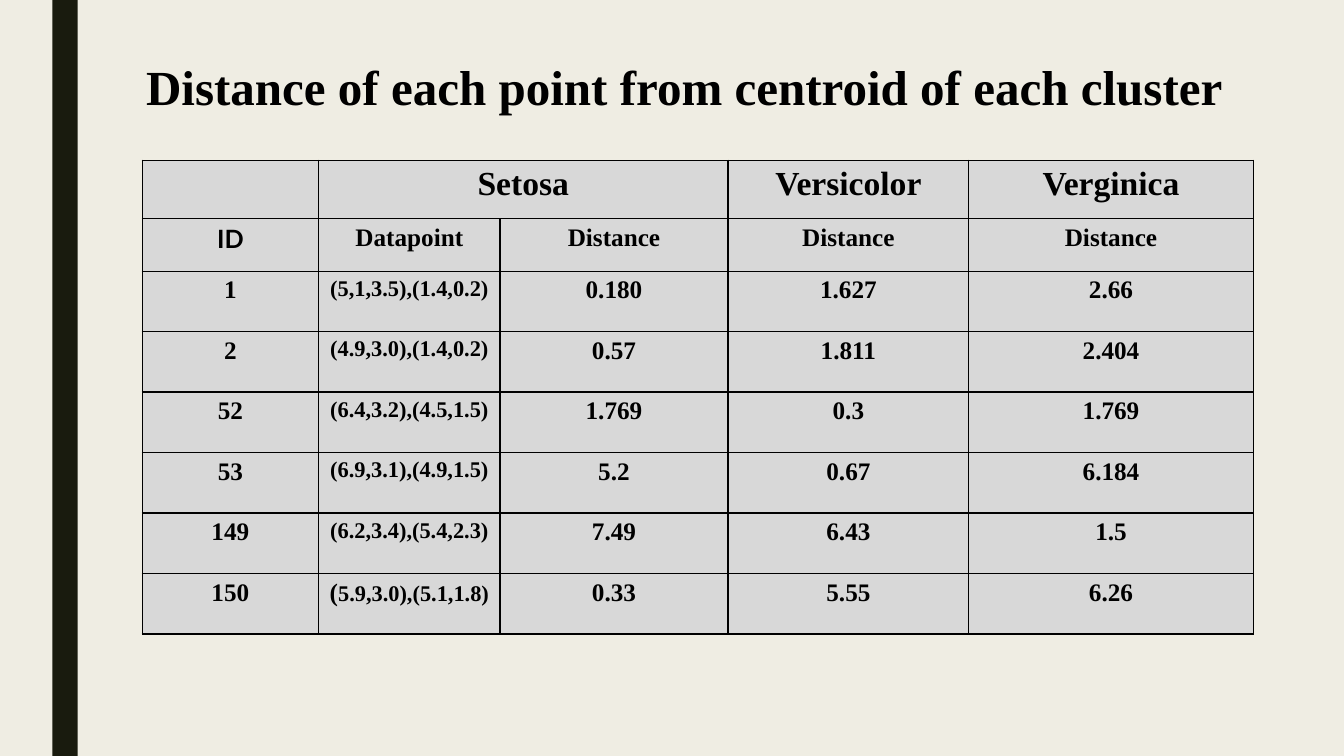
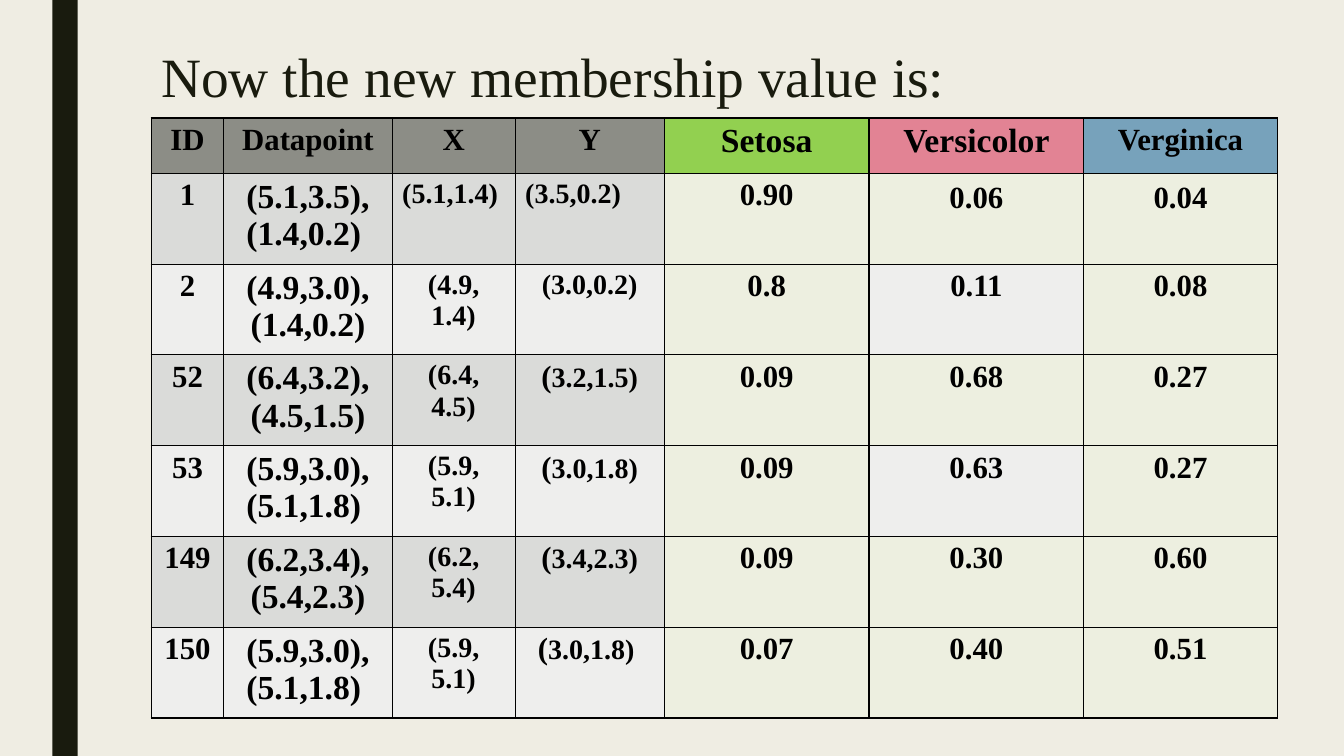
from lxml import etree
from pptx import Presentation, util as u
from pptx.dml.color import RGBColor
from pptx.enum import shapes, text
from pptx.oxml.ns import qn

SERIF, SANS = "Times New Roman", "Lato"
CREAM = RGBColor(0xEF, 0xED, 0xE3)
DARK = RGBColor(0x19, 0x1B, 0x0E)
BLACK = RGBColor(0, 0, 0)
SILVER = RGBColor(0xD8, 0xD8, 0xD8)
HEAD = RGBColor(0x8C, 0x8D, 0x86)
GREEN = RGBColor(0x92, 0xD0, 0x50)
PINK = RGBColor(0xE2, 0x83, 0x94)
BLUE = RGBColor(0x77, 0xA2, 0xBB)
BANDS = RGBColor(0xDA, 0xDB, 0xD9), RGBColor(0xEE, 0xEE, 0xED)
IVORY = RGBColor(0xED, 0xEF, 0xE0)
LEFT, CENTER = text.PP_ALIGN.LEFT, text.PP_ALIGN.CENTER

prs = Presentation()
prs.slide_width, prs.slide_height = u.Inches(13.33), u.Inches(7.5)
prs.slide_master.background.fill.solid()
prs.slide_master.background.fill.fore_color.rgb = CREAM


def add_slide(title, box, size, color, bold, origin, cols, rows):
    """Add the side band, the title and an empty table; return the table."""
    s = prs.slides.add_slide(prs.slide_layouts[6])
    band = s.shapes.add_shape(shapes.MSO_SHAPE.RECTANGLE, u.Inches(0.52), 0,
                              u.Inches(0.25), prs.slide_height)
    band.shadow.inherit = False
    band.fill.solid()
    band.fill.fore_color.rgb = DARK
    band.line.fill.background()

    tf = s.shapes.add_textbox(*map(u.Inches, box)).text_frame
    tf.word_wrap = True
    tf.vertical_anchor = text.MSO_ANCHOR.MIDDLE
    r = tf.paragraphs[0].add_run()
    r.text = title
    r.font.name, r.font.size, r.font.bold = SERIF, u.Pt(size), bold
    r.font.color.rgb = color

    area = *origin, sum(cols), sum(rows)
    tbl = s.shapes.add_table(len(rows), len(cols), *map(u.Inches, area)).table
    tbl.first_row = tbl.horz_banding = False
    for col, width in zip(tbl.columns, cols):
        col.width = u.Inches(width)
    for row, height in zip(tbl.rows, rows):
        row.height = u.Inches(height)
    return tbl


def fill_cell(cell, content, size, fill, align=CENTER, lead=None, font=SERIF):
    """Border, fill and write a cell; lead is the size of its first character."""
    tcPr = cell._tc.get_or_add_tcPr()
    for side in ("lnL", "lnR", "lnT", "lnB"):
        ln = etree.SubElement(tcPr, qn("a:" + side), w=str(u.Pt(1)))
        solid = etree.SubElement(ln, qn("a:solidFill"))
        etree.SubElement(solid, qn("a:srgbClr"), val=str(BLACK))
    cell.fill.solid()
    cell.fill.fore_color.rgb = fill
    tf = cell.text_frame
    for i, line in enumerate(content.split("\n")):
        p = tf.add_paragraph() if i else tf.paragraphs[0]
        p.alignment = align
        runs = [(line[:1], lead), (line[1:], size)] if lead else [(line, size)]
        for chars, pt in runs:
            if chars:
                r = p.add_run()
                r.text = chars
                r.font.name, r.font.size, r.font.bold = font, u.Pt(pt), True
                r.font.color.rgb = BLACK


# Distances
distances = [
    ("", "Setosa", "", "Versicolor", "Verginica"),
    ("ID", "Datapoint", "Distance", "Distance", "Distance"),
    ("1", "(5,1,3.5),(1.4,0.2)", "0.180", "1.627", "2.66"),
    ("2", "(4.9,3.0),(1.4,0.2)", "0.57", "1.811", "2.404"),
    ("52", "(6.4,3.2),(4.5,1.5)", "1.769", "0.3", "1.769"),
    ("53", "(6.9,3.1),(4.9,1.5)", "5.2", "0.67", "6.184"),
    ("149", "(6.2,3.4),(5.4,2.3)", "7.49", "6.43", "1.5"),
    ("150", "(5.9,3.0),(5.1,1.8)", "0.33", "5.55", "6.26"),
]
tbl = add_slide("Distance of each point from centroid of each cluster",
                (1.35, 0.51, 11.98, 0.69), 35, BLACK, True, (1.41, 1.59),
                [1.75, 1.8, 2.26, 2.39, 2.82], [0.58, 0.52] + [0.6] * 6)
tbl.cell(0, 1).merge(tbl.cell(0, 2))
for i, row in enumerate(distances):
    for j, value in enumerate(row):
        size = 24 if i == 0 else 16 if i > 1 and j == 1 else 18
        fill_cell(tbl.cell(i, j), value, size, SILVER,
                  lead=18 if (i, j) == (7, 1) else None,
                  font=SANS if value == "ID" else SERIF)

# Memberships
header = [("ID", 22, HEAD), ("Datapoint", 22, HEAD), ("X", 22, HEAD), ("Y", 22, HEAD),
          ("Setosa", 24, GREEN), ("Versicolor", 24, PINK), ("Verginica", 22, BLUE)]
memberships = [
    ("1", "(5.1,3.5), (1.4,0.2) ", "(5.1,1.4)", "(3.5,0.2)", "0.90", "0.06", "0.04"),
    ("2", "(4.9,3.0), (1.4,0.2)", "(4.9, 1.4)", "(3.0,0.2)", "0.8", "0.11", "0.08"),
    ("52", "(6.4,3.2), (4.5,1.5)", "(6.4, 4.5)", "(3.2,1.5)", "0.09", "0.68", "0.27"),
    ("53", "(5.9,3.0),\n(5.1,1.8) ", "(5.9, 5.1)", "(3.0,1.8)", "0.09", "0.63", "0.27"),
    ("149", "(6.2,3.4),\n(5.4,2.3)", "(6.2, 5.4)", "(3.4,2.3)", "0.09", "0.30", "0.60"),
    ("150", "(5.9,3.0),\n(5.1,1.8) ", "(5.9, 5.1)", "(3.0,1.8) ", "0.07", "0.40", "0.51"),
]
sizes = [22, 24, 20, 20, 22, 22, 22]
tbl = add_slide("Now the new membership value is:", (1.5, 0.4, 10.5, 0.7),
                39.6, DARK, False, (1.5, 1.17),
                [0.72, 1.67, 1.22, 1.48, 2.03, 2.13, 1.92], [0.55] + [0.89] * 6)
for j, (name, size, fill) in enumerate(header):
    fill_cell(tbl.cell(0, j), name, size, fill)
for i, row in enumerate(memberships, 1):
    for j, value in enumerate(row):
        banded = j < 4 or (i, j) in [(2, 5), (4, 5)]
        fill_cell(tbl.cell(i, j), value, sizes[j],
                  BANDS[(i - 1) % 2] if banded else IVORY,
                  align=LEFT if i == 1 and j in (2, 3) else CENTER,
                  lead=22 if j == 3 and i > 2 else None)
for j in (5, 6):
    tbl.cell(1, j).margin_top = u.Inches(0.08)

prs.save("out.pptx")
